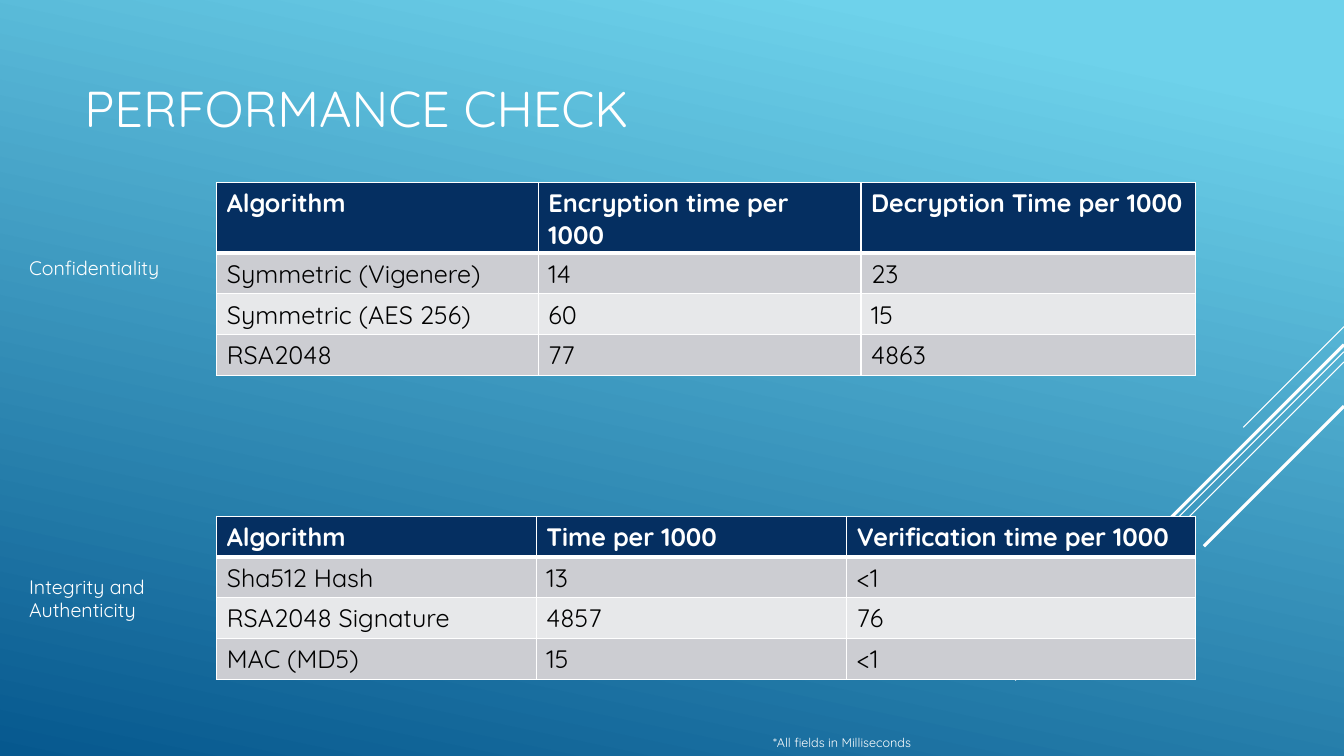
import pptx
import pptx.dml.color
import pptx.enum.shapes
import pptx.enum.text
import pptx.oxml
import pptx.oxml.ns
import pptx.util


def tint(code):
    return pptx.dml.color.RGBColor.from_string(code)


class Deck:
    """Hold the style and current slide; lengths are percent of slide width or height."""

    font, white, black, navy = "Quicksand", "FFFFFF", "000000", "052F61"
    bands = "CCCDD2", "E7E8EA"

    def __init__(self):
        self.file = pptx.Presentation()
        self.file.slide_width = pptx.util.Inches(13.333)
        self.file.slide_height = pptx.util.Inches(7.5)
        self.slide = self.file.slides.add_slide(self.file.slide_layouts[6])

    def wide(self, share):
        return round(self.file.slide_width * share / 100)

    def high(self, share):
        return round(self.file.slide_height * share / 100)

    def back(self, angle, *stops):
        fill = self.slide.background.fill
        fill.gradient()
        fill.gradient_angle = angle
        for stop, (place, code) in zip(fill.gradient_stops, stops):
            stop.position = place
            stop.color.rgb = tint(code)

    def style(self, frame, size, code, bold=False):
        for para in frame.paragraphs:
            for run in para.runs:
                run.font.name = self.font
                run.font.size = pptx.util.Pt(size)
                run.font.bold = bold
                run.font.color.rgb = tint(code)

    def text(self, words, left, top, width, height, size, wrap=True, middle=False):
        box = self.slide.shapes.add_textbox(
            self.wide(left), self.high(top), self.wide(width), self.high(height))
        frame = box.text_frame
        frame.word_wrap = wrap
        if middle:
            frame.vertical_anchor = pptx.enum.text.MSO_ANCHOR.MIDDLE
        frame.text = words
        self.style(frame, size, self.white)

    def ray(self, top, drop, weight):
        edge, start, run = self.file.slide_width, self.high(top), self.high(drop)
        line = self.slide.shapes.add_connector(
            pptx.enum.shapes.MSO_CONNECTOR.STRAIGHT, edge, start, edge - run, start + run)
        line.line.color.rgb = tint(self.white)
        line.line.width = pptx.util.Pt(weight)
        line._element.spPr.append(pptx.oxml.parse_xml(
            f"<a:effectLst {pptx.oxml.ns.nsdecls('a')}/>"))

    def edges(self, cell, top, base):
        props = cell._tc.get_or_add_tcPr()
        for spot, (side, weight) in enumerate(zip("LRTB", (1, 1, top, base))):
            props.insert(spot, pptx.oxml.parse_xml(
                f'<a:ln{side} {pptx.oxml.ns.nsdecls("a")} w="{pptx.util.Pt(weight)}">'
                f'<a:solidFill><a:srgbClr val="{self.white}"/></a:solidFill></a:ln{side}>'))

    def table(self, left, top, widths, step, rows):
        table = self.slide.shapes.add_table(
            len(rows), len(widths), self.wide(left), self.high(top),
            self.wide(sum(widths)), self.high(step * len(rows))).table
        table.first_row = table.horz_banding = False
        for col, width in zip(table.columns, widths):
            col.width = self.wide(width)
        for r, row in enumerate(rows):
            head = r == 0
            table.rows[r].height = self.high(step)
            for c, words in enumerate(row):
                cell = table.cell(r, c)
                cell.text_frame.text = words
                self.style(cell.text_frame, 18, self.white if head else self.black, head)
                cell.fill.solid()
                cell.fill.fore_color.rgb = tint(self.navy if head else self.bands[(r - 1) % 2])
                self.edges(cell, 3 if r == 1 else 1, 3 if head else 1)


def main():
    deck = Deck()
    deck.back(258, (0.1, "6ED2EB"), (1, "06588E"))
    for top, drop, weight in (
            (43.2, 13.33, 0.75), (46.53, 43.47, 0.75), (47.87, 27.6, 0.75),
            (45.6, 25.47, 2.25), (53.73, 18.53, 2.25)):
        deck.ray(top, drop, weight)
    deck.text("PERFORMANCE CHECK", 5.55, 3.2, 70, 22, 36, middle=True)
    deck.table(16.13, 24.13, (23.93, 24, 24.9), 5.4, (
        ("Algorithm", "Encryption time per 1000", "Decryption Time per 1000"),
        ("Symmetric (Vigenere)", "14", "23"),
        ("Symmetric (AES 256)", "60", "15"),
        ("RSA2048", "77", "4863")))
    deck.table(16.13, 68.27, (23.78, 23.1, 25.95), 5.4, (
        ("Algorithm", "Time per 1000", "Verification time per 1000"),
        ("Sha512 Hash", "13", "<1"),
        ("RSA2048 Signature", "4857", "76"),
        ("MAC (MD5)", "15", "<1")))
    deck.text("Confidentiality", 1.43, 33.2, 13.43, 4.53, 14)
    deck.text("Integrity and\nAuthenticity", 1.43, 75.33, 12.45, 7.6, 14)
    deck.text("*All fields in Milliseconds", 56.78, 96.53, 12.23, 3.33, 9, wrap=False)
    deck.file.save("out.pptx")


if __name__ == "__main__":
    main()
